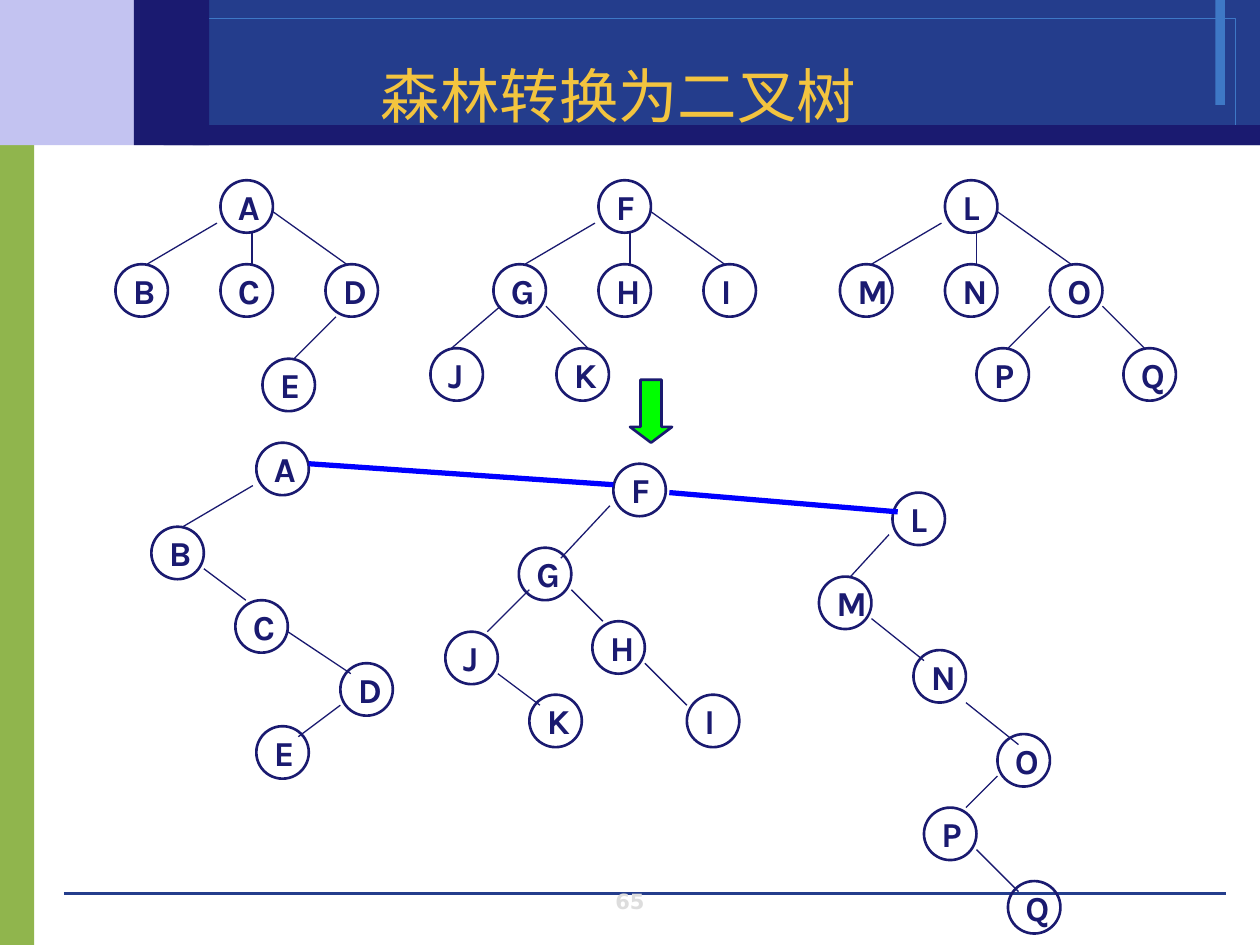
"""Build a slide that turns a forest into a binary tree."""
from lxml import etree
from pptx import Presentation
from pptx.dml.color import RGBColor
from pptx.enum.shapes import MSO_CONNECTOR, MSO_SHAPE
from pptx.enum.text import MSO_ANCHOR, MSO_AUTO_SIZE, PP_ALIGN
from pptx.oxml.ns import qn
from pptx.util import Pt

RECT = MSO_SHAPE.RECTANGLE
OVAL = MSO_SHAPE.OVAL
ARROW = MSO_SHAPE.RIGHT_ARROW
STRAIGHT = MSO_CONNECTOR.STRAIGHT
TOP, BOTTOM = MSO_ANCHOR.TOP, MSO_ANCHOR.BOTTOM
LEFT, CENTER = PP_ALIGN.LEFT, PP_ALIGN.CENTER
FIT = MSO_AUTO_SIZE.SHAPE_TO_FIT_TEXT

NAVY, ROYAL, SKY, BLUE = "1A1A70", "243D8C", "3E78C6", "0000FF"
SIZE = 30

FOREST = [(126, "ABCD"), (342, "FGHI"), (540, "LMNO")]
LEAVES = {
    "E": (150, 205), "J": (246, 199), "K": (318, 199),
    "P": (558, 199), "Q": (642, 199),
}
TWIGS = [
    (192, 181, 168, 205), (286, 175, 258, 199), (312, 175, 336, 199),
    (600, 175, 576, 199), (630, 175, 654, 199),
]
BINARY = {
    "A": (146.5, 253), "B": (86.5, 301), "C": (134.5, 343),
    "D": (194.5, 379), "E": (146.5, 415),
    "F": (350.5, 265), "G": (296.5, 313), "H": (338.5, 355),
    "I": (392.5, 397), "J": (254.5, 361), "K": (302.5, 397),
    "L": (510, 281.5), "M": (468, 329.5), "N": (522, 371.5),
    "O": (570, 419.5), "P": (528, 461.5), "Q": (576, 503.5),
}
EDGES = [
    (144.5, 277.5, 104.5, 301), (116.5, 325, 140.5, 343),
    (164.5, 361, 200.5, 385), (194.5, 403, 170.5, 421),
    (348.5, 289, 320.5, 319), (326.5, 337, 344.5, 355),
    (368.5, 379, 392.5, 403), (302.5, 337, 278.5, 361),
    (284.5, 385, 308.5, 403),
    (508, 305.5, 486, 329.5), (498, 353.5, 528, 377.5),
    (552, 401.5, 582, 425.5), (570, 443.5, 552, 461.5),
    (558, 485.5, 582, 509.5),
]
LINKS = [(176.5, 265, 350.5, 277), (382.5, 281.5, 513, 292.5)]


def color(code):
    """Turn a hex string into a colour."""
    return RGBColor.from_string(code)


def shape(slide, kind, box, fill=None, line=None, width=0):
    """Add a preset shape with an optional fill and outline."""
    item = slide.shapes.add_shape(kind, *map(Pt, box))
    item.shadow.inherit = False
    if fill:
        item.fill.solid()
        item.fill.fore_color.rgb = color(fill)
    else:
        item.fill.background()
    if line:
        item.line.color.rgb = color(line)
        item.line.width = Pt(width)
    else:
        item.line.fill.background()
    return item


def edge(slide, ends, code=NAVY, width=0.75):
    """Add a straight line between two points."""
    item = slide.shapes.add_connector(STRAIGHT, *map(Pt, ends))
    item.line.color.rgb = color(code)
    item.line.width = Pt(width)
    props = item._element.find(qn("p:spPr"))
    etree.SubElement(props, qn("a:effectLst"))


def label(slide, text, box, size, code, font="DejaVu Sans", bold=False,
          align=CENTER, anchor=BOTTOM):
    """Add a one-line text box and return its frame."""
    frame = slide.shapes.add_textbox(*map(Pt, box)).text_frame
    frame.text = text
    frame.word_wrap = True
    frame.vertical_anchor = anchor
    para = frame.paragraphs[0]
    para.alignment = align
    face = para.runs[0].font
    face.name, face.size, face.bold = font, Pt(size), bold
    face.color.rgb = color(code)
    return frame


def node(slide, name, x, y):
    """Add a ringed letter."""
    frame = label(slide, name, (x + 10, y + 7.5, 16, 19.5), 20, NAVY,
                  "Karla", True, LEFT, TOP)
    frame.margin_left = frame.margin_right = 0
    frame.margin_top = frame.margin_bottom = 0
    frame.auto_size = FIT
    frame.paragraphs[0].line_spacing = 0.8
    shape(slide, OVAL, (x, y, SIZE, SIZE), line=NAVY, width=1.5)


def crown(slide, x, names):
    """Add a root with its three children."""
    top, low = 103, 151
    edge(slide, (x - 2, 127.5, x - 42, low))
    edge(slide, (x + 18, top + SIZE, x + 18, low))
    edge(slide, (x + SIZE, 121, x + 72, low))
    node(slide, names[0], x, top)
    for step, name in enumerate(names[1:], -1):
        node(slide, name, x + 60 * step, low)


def tree(slide, edges, nodes):
    """Add lines and then the nodes they join."""
    for ends in edges:
        edge(slide, ends)
    for name, (x, y) in nodes.items():
        node(slide, name, x, y)


def frame(slide):
    """Add the header, side bar, footer rule, title and page number."""
    shape(slide, RECT, (0, 77, 19.5, 463), "90B54D")
    shape(slide, RECT, (0, 0, 110, 83), "C3C3F1")
    shape(slide, RECT, (110, 0, 610, 83), ROYAL)
    shape(slide, RECT, (694.5, 0, 5.5, 60), SKY)
    shape(slide, RECT, (85.5, 10.5, 620.5, 61.5), line=SKY)
    edge(slide, (36.5, 510.5, 700.5, 510.5), ROYAL, 0)
    shape(slide, RECT, (93.5, 71.5, 626.5, 11.5), NAVY)
    shape(slide, RECT, (76.5, 0, 43, 83), NAVY)
    label(slide, "65", (276, 507.5, 168, 18), 12, "DDDDDD", bold=True)
    label(slide, "森林转换为二叉树", (100, 9.5, 507, 68.5), 34, "F3C43F")


def main():
    """Build and save the slide."""
    deck = Presentation()
    deck.slide_width, deck.slide_height = Pt(720), Pt(540)
    slide = deck.slides.add_slide(deck.slide_layouts[6])
    frame(slide)
    for x, names in FOREST:
        crown(slide, x, names)
    tree(slide, TWIGS, LEAVES)
    tree(slide, EDGES, BINARY)
    for ends in LINKS:
        edge(slide, ends, BLUE, 3)
    arrow = shape(slide, ARROW, (354, 223, 36, 24), "00FF00", NAVY, 1.5)
    arrow.rotation = 90
    arrow.adjustments[1] = 0.375
    deck.save("out.pptx")


if __name__ == "__main__":
    main()
